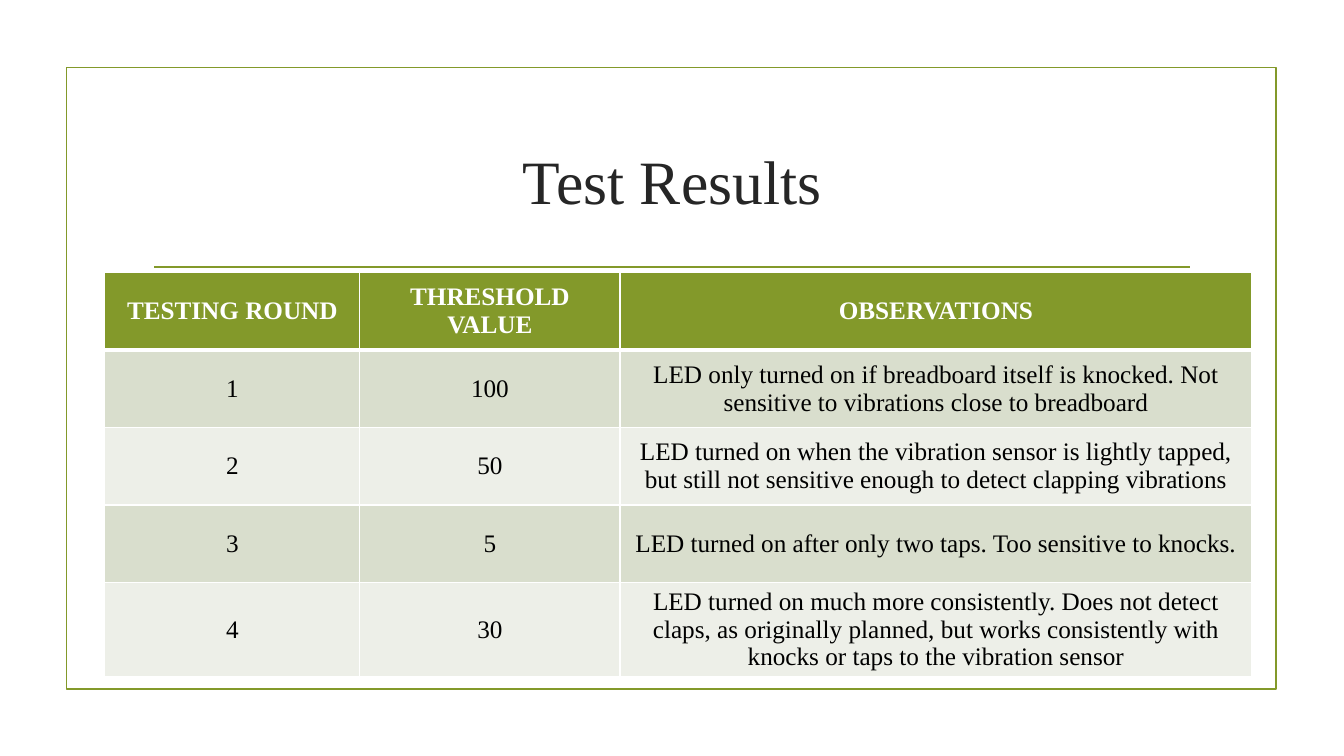
from lxml.etree import SubElement
from pptx import Presentation
from pptx.dml.color import RGBColor
from pptx.enum.shapes import MSO_CONNECTOR, MSO_SHAPE
from pptx.enum.text import MSO_ANCHOR, PP_ALIGN
from pptx.oxml import parse_xml
from pptx.oxml.ns import nsdecls, qn
from pptx.util import Pt

TITLE = "Test Results"
ROWS = [
    ("TESTING ROUND", "THRESHOLD VALUE", "OBSERVATIONS"),
    ("1", "100", "LED only turned on if breadboard itself is knocked. "
                 "Not sensitive to vibrations close to breadboard"),
    ("2", "50", "LED turned on when the vibration sensor is lightly tapped, "
                "but still not sensitive enough to detect clapping vibrations"),
    ("3", "5", "LED turned on after only two taps. Too sensitive to knocks."),
    ("4", "30", "LED turned on much more consistently. Does not detect claps, "
                "as originally planned, but works consistently with knocks or "
                "taps to the vibration sensor"),
]
COLUMN_WIDTHS = (182.2, 185.8, 451.4)
ROW_HEIGHT = 55.4
FONT = "Times New Roman"
GREEN, WHITE, BLACK, DARK = "83992A", "FFFFFF", "000000", "262626"
BANDS = ("EDEFE8", "D9DECD")


def color(value):
    return RGBColor.from_string(value)


def format_text(text_frame, size, font_color, bold=False):
    for paragraph in text_frame.paragraphs:
        paragraph.alignment = PP_ALIGN.CENTER
        for run in paragraph.runs:
            run.font.name = FONT
            run.font.size = Pt(size)
            run.font.bold = bold
            run.font.color.rgb = color(font_color)


def add_borders(cell, widths):
    properties = cell._tc.get_or_add_tcPr()
    for index, (side, width) in enumerate(widths.items()):
        border = parse_xml(
            f'<a:{side} {nsdecls("a")} w="{Pt(width)}"><a:solidFill>'
            f'<a:srgbClr val="{WHITE}"/></a:solidFill></a:{side}>')
        properties.insert(index, border)


def add_title(slide):
    title = slide.shapes.title
    title.left, title.top, title.width, title.height = Pt(102.2), Pt(77), Pt(756), Pt(103)
    title.text_frame.text = TITLE
    title.text_frame.vertical_anchor = MSO_ANCHOR.MIDDLE
    format_text(title.text_frame, 44, DARK)


def add_frame(slide):
    frame = slide.shapes.add_shape(MSO_SHAPE.RECTANGLE, Pt(47.6), Pt(48.2), Pt(864), Pt(444.2))
    frame.shadow.inherit = False
    frame.fill.background()
    rule = slide.shapes.add_connector(
        MSO_CONNECTOR.STRAIGHT, Pt(110.2), Pt(190.8), Pt(850.3), Pt(190.8))
    SubElement(rule._element.spPr, qn("a:effectLst"))
    for shape in (frame, rule):
        shape.line.color.rgb = color(GREEN)
        shape.line.width = Pt(1.25)


def add_results(slide):
    table = slide.shapes.add_table(
        len(ROWS), len(COLUMN_WIDTHS), Pt(74.9), Pt(194.6),
        Pt(sum(COLUMN_WIDTHS)), Pt(ROW_HEIGHT * len(ROWS))).table
    for column, width in zip(table.columns, COLUMN_WIDTHS):
        column.width = Pt(width)
    for row_index, texts in enumerate(ROWS):
        header = row_index == 0
        table.rows[row_index].height = Pt(ROW_HEIGHT)
        for column_index, text in enumerate(texts):
            cell = table.cell(row_index, column_index)
            cell.text_frame.text = text
            cell.vertical_anchor = MSO_ANCHOR.MIDDLE
            cell.fill.solid()
            cell.fill.fore_color.rgb = color(GREEN if header else BANDS[row_index % 2])
            format_text(cell.text_frame, 18, WHITE if header else BLACK, header)
            add_borders(cell, {"lnL": 1, "lnR": 1, "lnT": 3 if row_index == 1 else 1,
                               "lnB": 3 if header else 1})


def main():
    presentation = Presentation()
    presentation.slide_width, presentation.slide_height = Pt(960), Pt(540)
    slide = presentation.slides.add_slide(presentation.slide_layouts[5])
    add_title(slide)
    add_frame(slide)
    add_results(slide)
    presentation.save("out.pptx")


if __name__ == "__main__":
    main()
